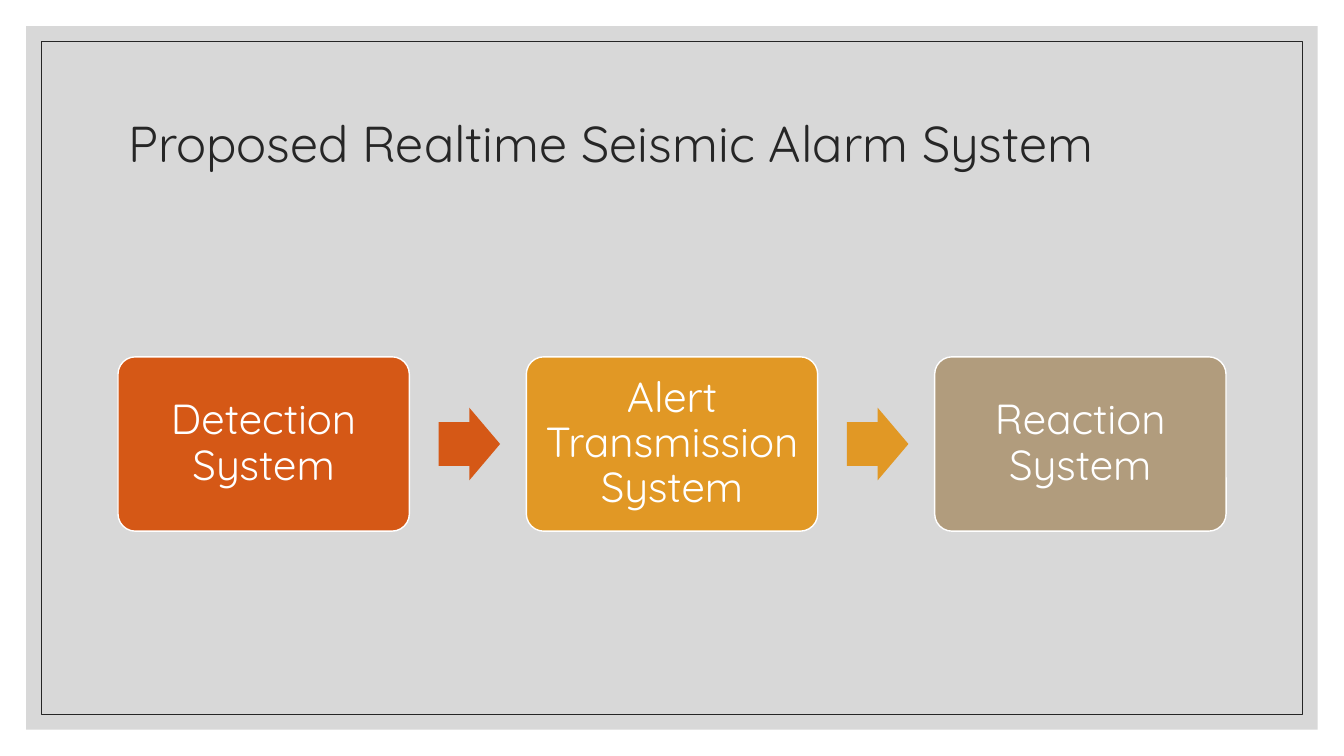
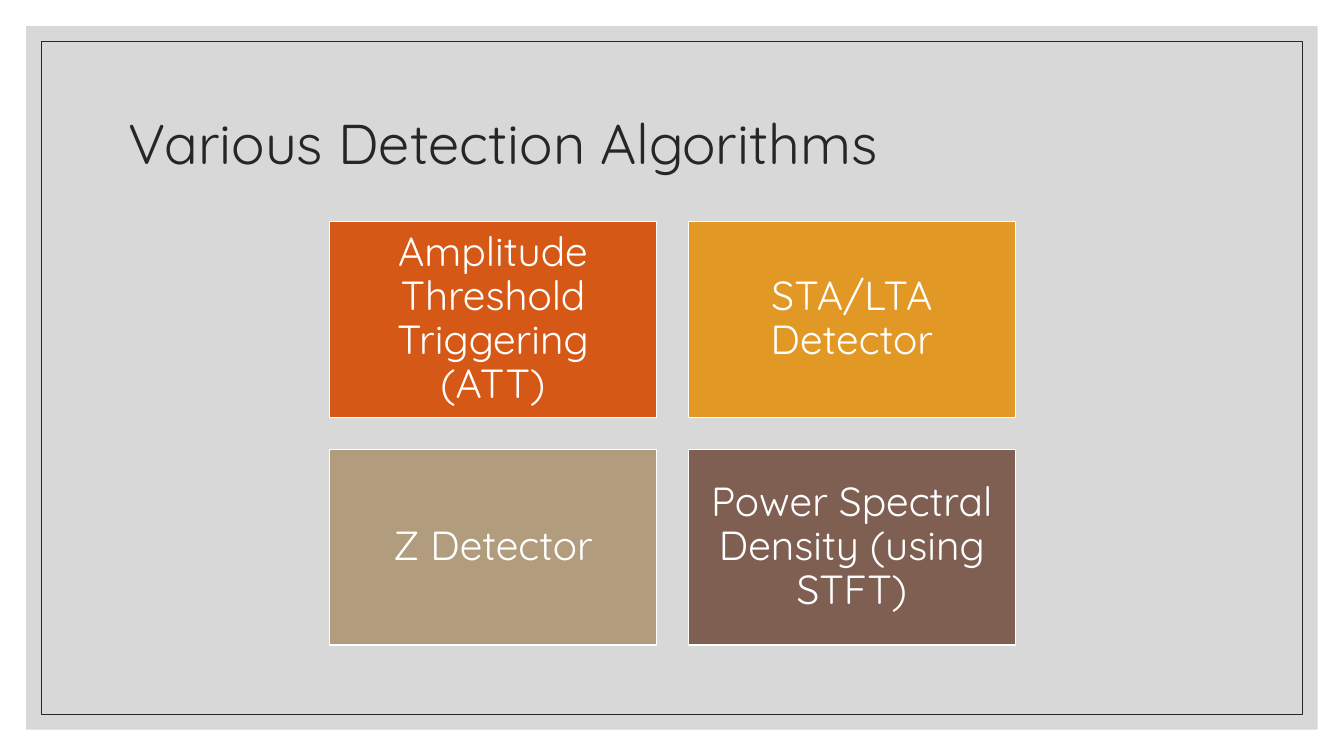
from dataclasses import dataclass

from lxml import etree
from pptx import Presentation
from pptx.dml.color import RGBColor
from pptx.enum import shapes, text
from pptx.oxml import ns
from pptx.util import Inches, Pt


@dataclass(frozen=True)
class Theme:
    font: str = "Quicksand"
    ink: str = "262626"
    white: str = "FFFFFF"
    panel: str = "BFBFBF"
    panel_opacity: int = 60
    accents: tuple = ("D55816", "E19825", "B19C7D", "7F5F52")
    flow_size: int = 30
    grid_size: int = 29
    line_spacing: float = 0.9
    inset: float = 0.12


THEME = Theme()
SHAPE = shapes.MSO_SHAPE
SLIDE_W, SLIDE_H = 13.33, 7.5


def style_text(tf, size, color, align):
    tf.word_wrap = True
    tf.auto_size = text.MSO_AUTO_SIZE.NONE
    tf.vertical_anchor = text.MSO_ANCHOR.MIDDLE
    for p in tf.paragraphs:
        p.alignment = align
        p.line_spacing = THEME.line_spacing
        for r in p.runs:
            r.font.name = THEME.font
            r.font.size = Pt(size)
            r.font.color.rgb = RGBColor.from_string(color)


def add_shape(slide, kind, box, fill=None, line=None, line_width=1):
    sp = slide.shapes.add_shape(kind, *map(Inches, box))
    sp.shadow.inherit = False
    if fill:
        sp.fill.solid()
        sp.fill.fore_color.rgb = RGBColor.from_string(fill)
    else:
        sp.fill.background()
    if line:
        sp.line.color.rgb = RGBColor.from_string(line)
        sp.line.width = Pt(line_width)
    else:
        sp.line.fill.background()
    return sp


def add_box(slide, kind, box, fill, label, size):
    sp = add_shape(slide, kind, box, fill, THEME.white)
    tf = sp.text_frame
    tf.margin_left = tf.margin_right = Inches(THEME.inset)
    tf.margin_top = tf.margin_bottom = Inches(THEME.inset)
    tf.text = label
    style_text(tf, size, THEME.white, text.PP_ALIGN.CENTER)
    return sp


def set_opacity(sp, percent):
    color = sp.element.spPr.find(".//" + ns.qn("a:srgbClr"))
    etree.SubElement(color, ns.qn("a:alpha"), val=str(percent * 1000))


def inset_box(margin):
    return margin, margin, SLIDE_W - 2 * margin, SLIDE_H - 2 * margin


def prepare_layout(prs, layout):
    """Give the layout its title place and the framed panel behind it."""
    title = layout.placeholders[0]
    title.left, title.top = Inches(1.17), Inches(0.7)
    title.width, title.height = Inches(11), Inches(1.5)

    # Layouts cannot add shapes, so the panel is drawn on a slide and moved.
    slide = prs.slides[0]
    panel = add_shape(slide, SHAPE.RECTANGLE, inset_box(0.26), THEME.panel)
    set_opacity(panel, THEME.panel_opacity)
    border = add_shape(slide, SHAPE.RECTANGLE, inset_box(0.41),
                       line=THEME.ink, line_width=0.5)
    for i, sp in enumerate((panel, border)):
        sp.element.nvSpPr.cNvPr.set("id", str(101 + i))
        layout.shapes.element.insert(2 + i, sp.element)


def add_slide(prs, layout, title, size):
    slide = prs.slides.add_slide(layout)
    tf = slide.shapes.title.text_frame
    tf.text = title
    style_text(tf, size, THEME.ink, text.PP_ALIGN.LEFT)
    return slide


def add_flow(slide, labels):
    left, top, width, height, pitch = 1.17, 3.54, 2.89, 1.73, 4.05
    arrow_w, arrow_h = 0.61, 0.72
    for i, (label, color) in enumerate(zip(labels, THEME.accents)):
        x = left + i * pitch
        box = add_box(slide, SHAPE.ROUNDED_RECTANGLE, (x, top, width, height),
                      color, label, THEME.flow_size)
        box.adjustments[0] = 0.1
        if i < len(labels) - 1:
            arrow_y = top + (height - arrow_h) / 2
            arrow = add_shape(slide, SHAPE.RIGHT_ARROW,
                              (x + width + 0.29, arrow_y, arrow_w, arrow_h), color)
            arrow.adjustments[0] = 0.6
            arrow.adjustments[1] = 0.5


def add_grid(slide, labels, columns=2):
    left, top, width, height, gap = 3.27, 2.2, 3.24, 1.94, 0.32
    for i, (label, color) in enumerate(zip(labels, THEME.accents)):
        row, col = divmod(i, columns)
        box = (left + col * (width + gap), top + row * (height + gap), width, height)
        add_box(slide, SHAPE.RECTANGLE, box, color, label, THEME.grid_size)


def main():
    prs = Presentation()
    prs.slide_width, prs.slide_height = Inches(SLIDE_W), Inches(SLIDE_H)
    layout = prs.slide_layouts.get_by_name("Title Only")

    system = add_slide(prs, layout, "Proposed Realtime Seismic Alarm System", 36)
    prepare_layout(prs, layout)
    add_flow(system, ["Detection System", "Alert Transmission System",
                      "Reaction System"])

    algorithms = add_slide(prs, layout, "Various Detection Algorithms", 40)
    add_grid(algorithms, ["Amplitude Threshold Triggering (ATT)",
                          "STA/LTA Detector", "Z Detector",
                          "Power Spectral Density (using STFT)"])
    prs.save("out.pptx")


if __name__ == "__main__":
    main()
